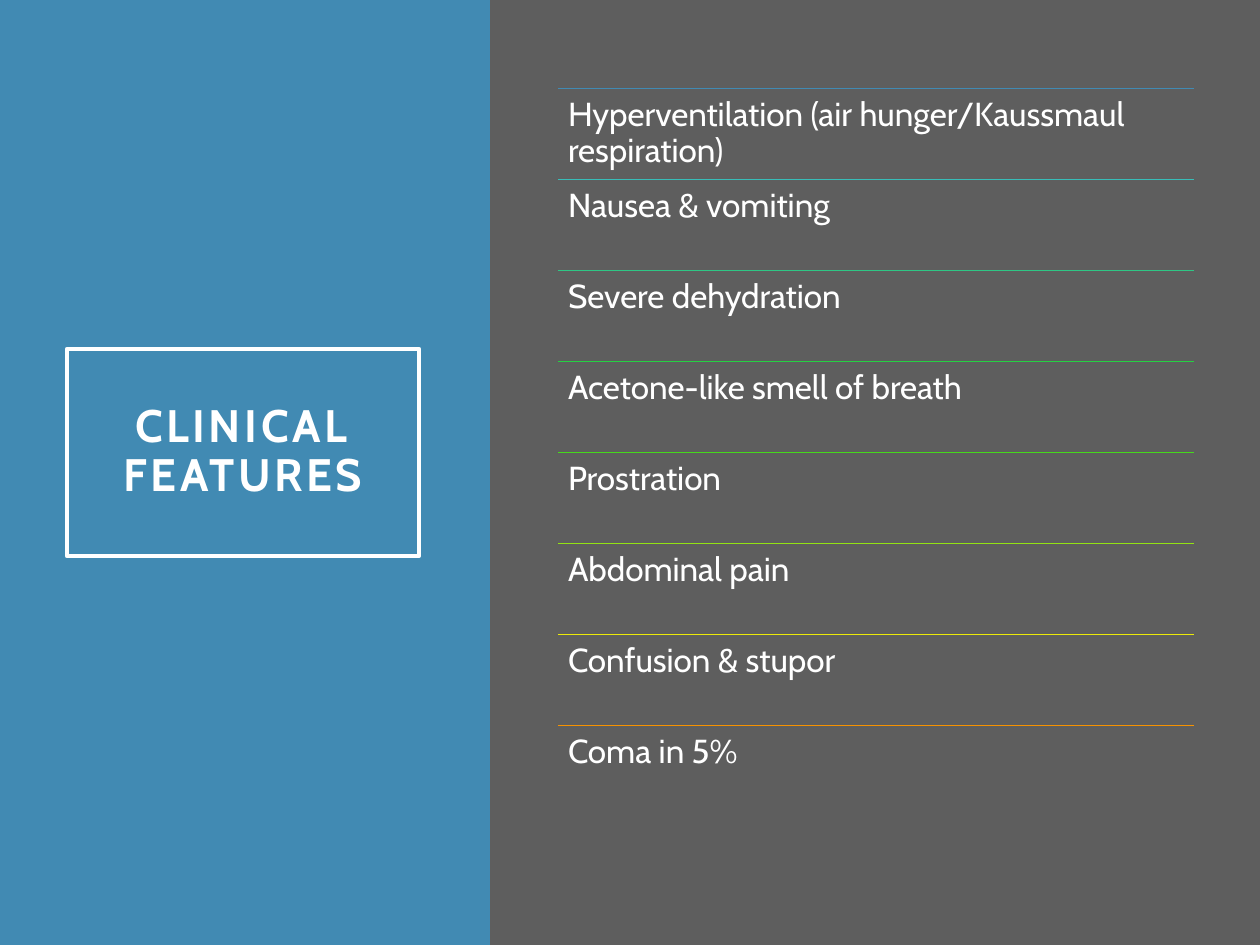
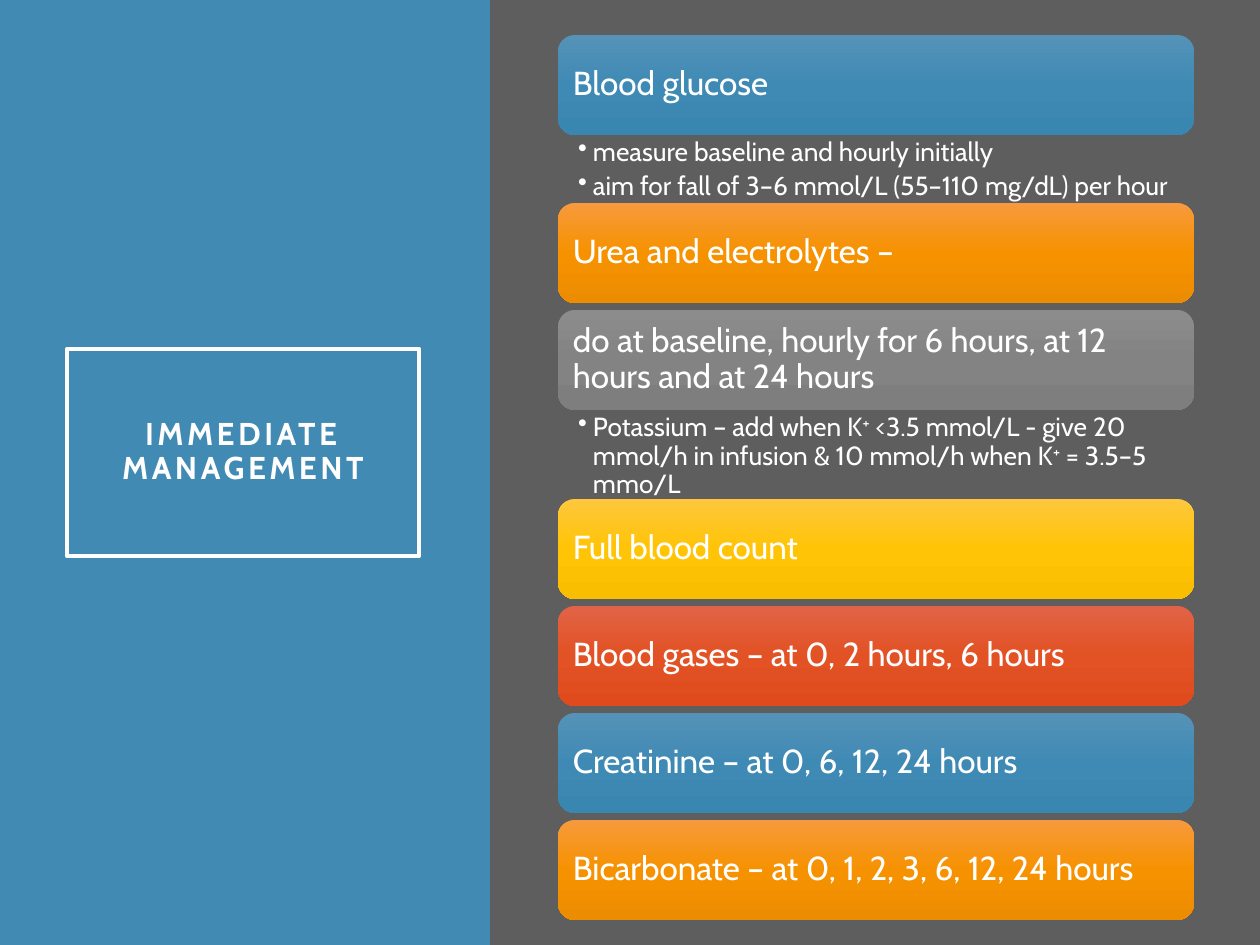
from lxml.etree import SubElement
from copy import deepcopy
from pptx import Presentation
from pptx.dml.color import RGBColor
from pptx.enum.shapes import MSO_CONNECTOR, MSO_SHAPE
from pptx.enum.text import MSO_ANCHOR, MSO_AUTO_SIZE, PP_ALIGN
from pptx.oxml.ns import qn
from pptx.util import Pt

SCALE = 914400 / 126
FONT = "Cabin"
COLOURS = {"band": "418AB3", "panel": "5E5E5E", "text": "FFFFFF"}
GRADIENTS = {
    "blue": ("5592B7", "3F8AB5", "3986B1"),
    "orange": ("F79A3D", "F69200", "EC8C00"),
    "grey": ("8C8C8C", "838383", "7E7E7E"),
    "yellow": ("FEC73E", "FFC405", "F9BE00"),
    "red": ("E16346", "E25224", "DF4B1D"),
}
SLIDE_SIZE = (1260, 945)
BAND_BOX = (0, 0, 490, 945)
PANEL_BOX = (491, 0, 769, 945)
TITLE_BOX = (67, 349, 352, 207)
FEATURES_BOX = (558, 88, 636, 728)
TESTS_BOX = (558, 35, 636, 885)

FEATURES = [
    ("Hyperventilation (air hunger/Kaussmaul respiration)", "418AB3"),
    ("Nausea & vomiting", "38BDB8"),
    ("Severe dehydration", "2FC685"),
    ("Acetone-like smell of breath", "25D043"),
    ("Prostration", "46D91C"),
    ("Abdominal pain", "93E313"),
    ("Confusion & stupor", "ECEA09"),
    ("Coma in 5%", "F69200"),
]
TESTS = [
    ("Blood glucose", "blue", 68, [
        "measure baseline and hourly initially",
        "aim for fall of 3–6 mmol/L (55–110 mg/dL) per hour",
    ]),
    ("Urea and electrolytes –", "orange", 7, []),
    ("do at baseline, hourly for 6 hours, at 12 hours and at 24 hours", "grey", 89, [
        "Potassium – add when K^+^\u00a0<3.5 mmol/L - give 20 mmol/h in infusion"
        " & 10 mmol/h when K^+^\u00a0= 3.5–5 mmo/L",
    ]),
    ("Full blood count", "yellow", 7, []),
    ("Blood gases – at 0, 2 hours, 6 hours", "red", 7, []),
    ("Creatinine – at 0, 6, 12, 24 hours", "blue", 7, []),
    ("Bicarbonate – at 0, 1, 2, 3, 6, 12, 24 hours", "orange", 0, []),
]


def to_emu(*pixels):
    """Turn pixel lengths into a list of EMU lengths."""
    return [round(pixel * SCALE) for pixel in pixels]


def to_colour(hex_string):
    """Turn a hex string into a colour."""
    return RGBColor.from_string(hex_string)


def write_text(shape, paragraphs, *, size, insets=(10, 10, 10, 10), anchor=MSO_ANCHOR.TOP,
               align=PP_ALIGN.LEFT, bold=False, tracking=0, space_after=0, bulleted=False):
    """Write paragraphs into a shape; text between carets is superscript."""
    frame = shape.text_frame
    frame.word_wrap = True
    frame.auto_size = MSO_AUTO_SIZE.NONE
    frame.vertical_anchor = anchor
    (frame.margin_left, frame.margin_top,
     frame.margin_right, frame.margin_bottom) = to_emu(*insets)
    for index, text in enumerate(paragraphs):
        paragraph = frame.add_paragraph() if index else frame.paragraphs[0]
        paragraph.alignment = align
        paragraph.line_spacing = 0.9
        paragraph.space_after = Pt(space_after)
        if bulleted:
            add_bullet(paragraph)
        for part, words in enumerate(text.split("^")):
            run = paragraph.add_run()
            run.text = words
            run.font.name = FONT
            run.font.size = Pt(size)
            run.font.bold = bold
            run.font.color.rgb = to_colour(COLOURS["text"])
            properties = run.font._element
            if tracking:
                properties.set("spc", str(tracking * 100))
            if part % 2:
                properties.set("baseline", "30000")


def add_bullet(paragraph):
    """Give a paragraph a hanging bullet."""
    paragraph.level = 1
    properties = paragraph._p.get_or_add_pPr()
    hang = to_emu(15)[0]
    properties.set("marL", str(hang))
    properties.set("indent", str(-hang))
    SubElement(properties, qn("a:buChar")).set("char", "•")


def add_block(slide, box, colour):
    """Add a plain filled rectangle."""
    block = slide.shapes.add_shape(MSO_SHAPE.RECTANGLE, *to_emu(*box))
    block.shadow.inherit = False
    block.fill.solid()
    block.fill.fore_color.rgb = to_colour(colour)
    block.line.fill.background()
    return block


def add_framed_slide(presentation, title_text, title_size):
    """Add a slide with the side band, the framed title and the panel."""
    slide = presentation.slides.add_slide(presentation.slide_layouts[5])
    slide.background.fill.solid()
    slide.background.fill.fore_color.rgb = to_colour(COLOURS["panel"])
    title = slide.shapes.title
    title.left, title.top, title.width, title.height = to_emu(*TITLE_BOX)
    title.line.color.rgb = to_colour(COLOURS["text"])
    title.line.width = Pt(2.5)
    write_text(title, [title_text], size=title_size, insets=(25, 25, 25, 25),
               anchor=MSO_ANCHOR.MIDDLE, align=PP_ALIGN.CENTER, bold=True, tracking=2)
    band = add_block(slide, BAND_BOX, COLOURS["band"])
    title.element.addprevious(band.element)
    add_block(slide, PANEL_BOX, COLOURS["panel"])
    return slide


def add_rule(slide, left, top, width, colour):
    """Add a thin horizontal line."""
    rule = slide.shapes.add_connector(
        MSO_CONNECTOR.STRAIGHT, *to_emu(left, top, left + width, top))
    rule.line.color.rgb = to_colour(colour)
    rule.line.width = Pt(0.5)
    SubElement(rule.element.spPr, qn("a:effectLst"))


def add_ruled_list(slide, box, rows):
    """Fill the box with equal rows, each under a coloured rule."""
    left, top, width, height = box
    pitch = height / len(rows)
    for index, (text, colour) in enumerate(rows):
        row_top = top + index * pitch
        add_rule(slide, left, row_top, width, colour)
        label = slide.shapes.add_textbox(*to_emu(left, row_top, width, pitch))
        write_text(label, [text], size=19, space_after=6.65)


def fill_gradient(shape, colours):
    """Fill a shape from top to bottom with three evenly spaced colours."""
    shape.fill.gradient()
    shape.fill.gradient_angle = 270
    stop_list = shape.element.spPr.find(qn("a:gradFill")).find(qn("a:gsLst"))
    stop_list.append(deepcopy(stop_list[-1]))
    for index, (stop, colour) in enumerate(zip(shape.fill.gradient_stops, colours)):
        stop.position = index / 2
        stop.color.rgb = to_colour(colour)


def add_bar_stack(slide, box, tests):
    """Stack rounded bars in the box, with bullets in the space below some."""
    left, top, width, height = box
    bar_height = (height - sum(space for _, _, space, _ in tests)) / len(tests)
    for heading, gradient, space, details in tests:
        bar = slide.shapes.add_shape(
            MSO_SHAPE.ROUNDED_RECTANGLE, *to_emu(left, top, width, bar_height))
        bar.shadow.inherit = False
        bar.line.fill.background()
        fill_gradient(bar, GRADIENTS[gradient])
        write_text(bar, [heading], size=19, anchor=MSO_ANCHOR.MIDDLE, space_after=6.65)
        top += bar_height
        if details:
            notes = slide.shapes.add_textbox(*to_emu(left, top, width, space))
            write_text(notes, details, size=15, insets=(20, 4, 19, 4),
                       space_after=3, bulleted=True)
        top += space


def main():
    """Build and save both slides."""
    presentation = Presentation()
    presentation.slide_width, presentation.slide_height = to_emu(*SLIDE_SIZE)
    features_slide = add_framed_slide(presentation, "CLINICAL FEATURES", 26)
    add_ruled_list(features_slide, FEATURES_BOX, FEATURES)
    management_slide = add_framed_slide(presentation, "IMMEDIATE MANAGEMENT", 18)
    add_bar_stack(management_slide, TESTS_BOX, TESTS)
    presentation.save("out.pptx")


main()
